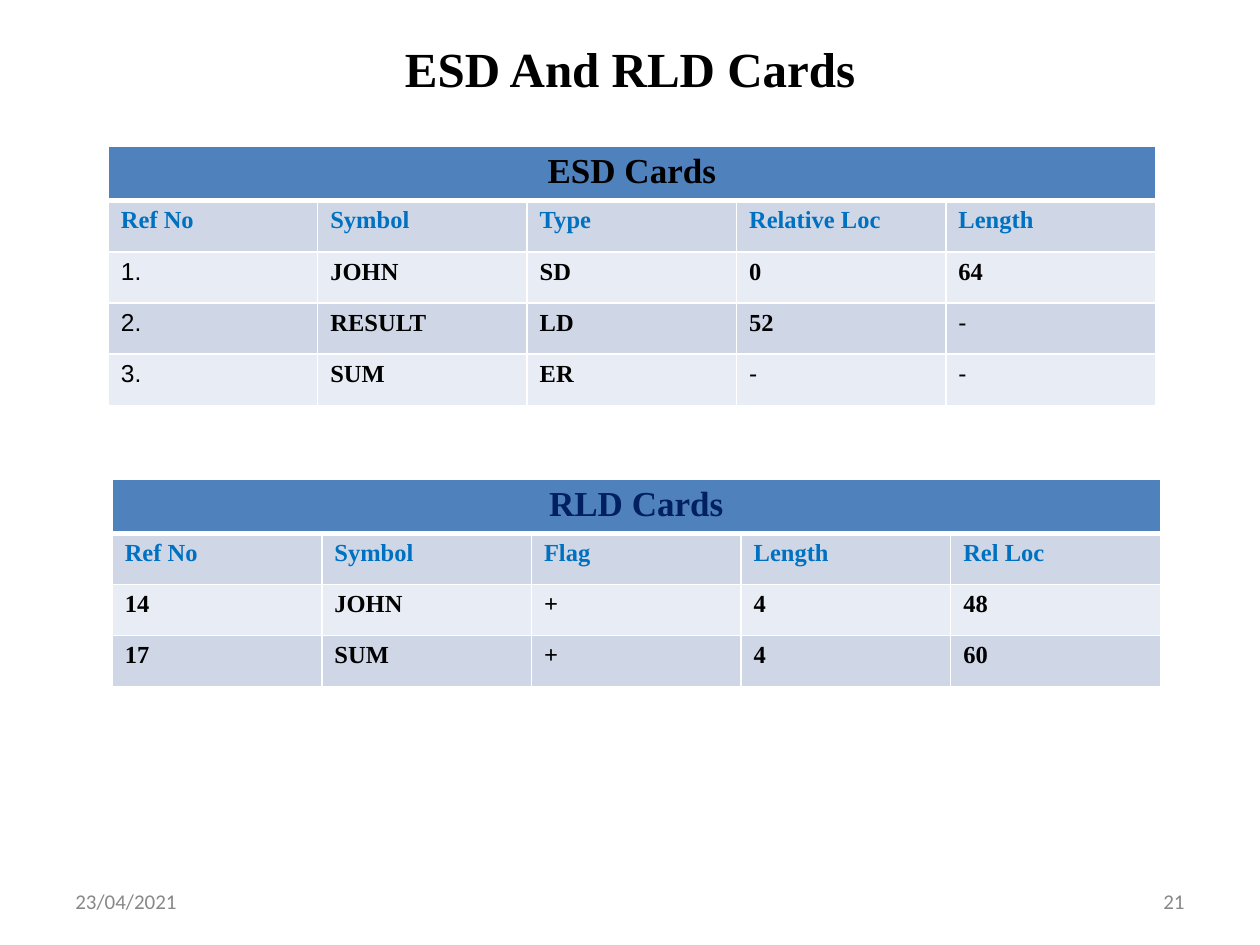
from lxml.etree import SubElement
from pptx import Presentation
from pptx.dml.color import RGBColor
from pptx.enum.text import MSO_ANCHOR, PP_ALIGN
from pptx.oxml.ns import qn
from pptx.util import Inches, Pt

BLACK = RGBColor(0x00, 0x00, 0x00)
GRAY = RGBColor(0x88, 0x88, 0x88)
WHITE = RGBColor(0xFF, 0xFF, 0xFF)
NAVY = RGBColor(0x00, 0x20, 0x60)
SKY = RGBColor(0x00, 0x70, 0xC0)
BLUE = RGBColor(0x4F, 0x81, 0xBD)
BANDS = (RGBColor(0xE8, 0xEC, 0xF4), RGBColor(0xCF, 0xD7, 0xE7))
SERIF = "Times New Roman"

ESD = [
    ["Ref No", "Symbol", "Type", "Relative Loc", "Length"],
    ["1.", "JOHN", "SD", "0", "64"],
    ["2.", "RESULT", "LD", "52", "-"],
    ["3.", "SUM", "ER", "-", "-"],
]
RLD = [
    ["Ref No", "Symbol", "Flag", "Length", "Rel Loc"],
    ["14", "JOHN", "+", "4", "48"],
    ["17", "SUM", "+", "4", "60"],
]


def write(frame, text, size=14, font=SERIF, color=BLACK, bold=True,
          align=PP_ALIGN.LEFT):
    """Put one formatted line into a text frame."""
    line = frame.paragraphs[0]
    line.alignment = align
    run = line.add_run()
    run.text = text
    run.font.size = Pt(size)
    run.font.name = font
    run.font.bold = bold
    run.font.color.rgb = color


def add_label(slide, box, text, **style):
    """Add a text box, centred in height, in the box given in inches."""
    frame = slide.shapes.add_textbox(*map(Inches, box)).text_frame
    frame.word_wrap = True
    frame.vertical_anchor = MSO_ANCHOR.MIDDLE
    write(frame, text, **style)


def set_edges(cell, top, bottom):
    """Draw white borders round a cell, with widths in points."""
    props = cell._tc.get_or_add_tcPr()
    for side, width in (("L", 1), ("R", 1), ("T", top), ("B", bottom)):
        edge = SubElement(props, qn("a:ln" + side), w=str(Pt(width)))
        fill = SubElement(edge, qn("a:solidFill"))
        SubElement(fill, qn("a:srgbClr"), val=str(WHITE))


def paint(cell, color, top=1, bottom=1):
    """Give a cell its borders and fill."""
    set_edges(cell, top, bottom)
    cell.fill.solid()
    cell.fill.fore_color.rgb = color


def add_cards(slide, box, title, data, color):
    """Add a card table with a merged title row in the box given."""
    count = len(data[0])
    table = slide.shapes.add_table(
        len(data) + 1, count, *map(Inches, box)).table
    for col in range(count):
        paint(table.cell(0, col), BLUE, bottom=3)
    head = table.cell(0, 0)
    head.merge(table.cell(0, count - 1))
    write(head.text_frame, title, size=20, color=color,
          align=PP_ALIGN.CENTER)
    for row, words in enumerate(data, 1):
        for col, word in enumerate(words):
            cell = table.cell(row, col)
            paint(cell, BANDS[row % 2], top=3 if row == 1 else 1)
            plain = word == "-" or word.endswith(".")
            write(cell.text_frame, word, bold=not plain,
                  font="Arial" if plain else SERIF,
                  color=SKY if row == 1 else BLACK)


def add_footer(slide, box, date, page):
    """Add the date at the left and the page number at the right."""
    left, top, width, height = box
    part = 2.33
    style = dict(size=12, font="Calibri", color=GRAY, bold=False)
    add_label(slide, (left, top, part, height), date, **style)
    add_label(slide, (left + width - part, top, part, height), page,
              align=PP_ALIGN.RIGHT, **style)


def build():
    """Build the slide and save it."""
    deck = Presentation()
    deck.slide_width, deck.slide_height = Inches(10), Inches(7.5)
    slide = deck.slides.add_slide(deck.slide_layouts[6])
    add_label(slide, (0.75, 0.25, 8.5, 0.58), "ESD And RLD Cards",
              size=28, align=PP_ALIGN.CENTER)
    add_footer(slide, (0.5, 6.95, 9, 0.4), "23/04/2021", "21")
    add_cards(slide, (0.86, 1.16, 8.31, 2.03), "ESD Cards", ESD, BLACK)
    add_cards(slide, (0.89, 3.8, 8.32, 1.62), "RLD Cards", RLD, NAVY)
    deck.save("out.pptx")


build()
